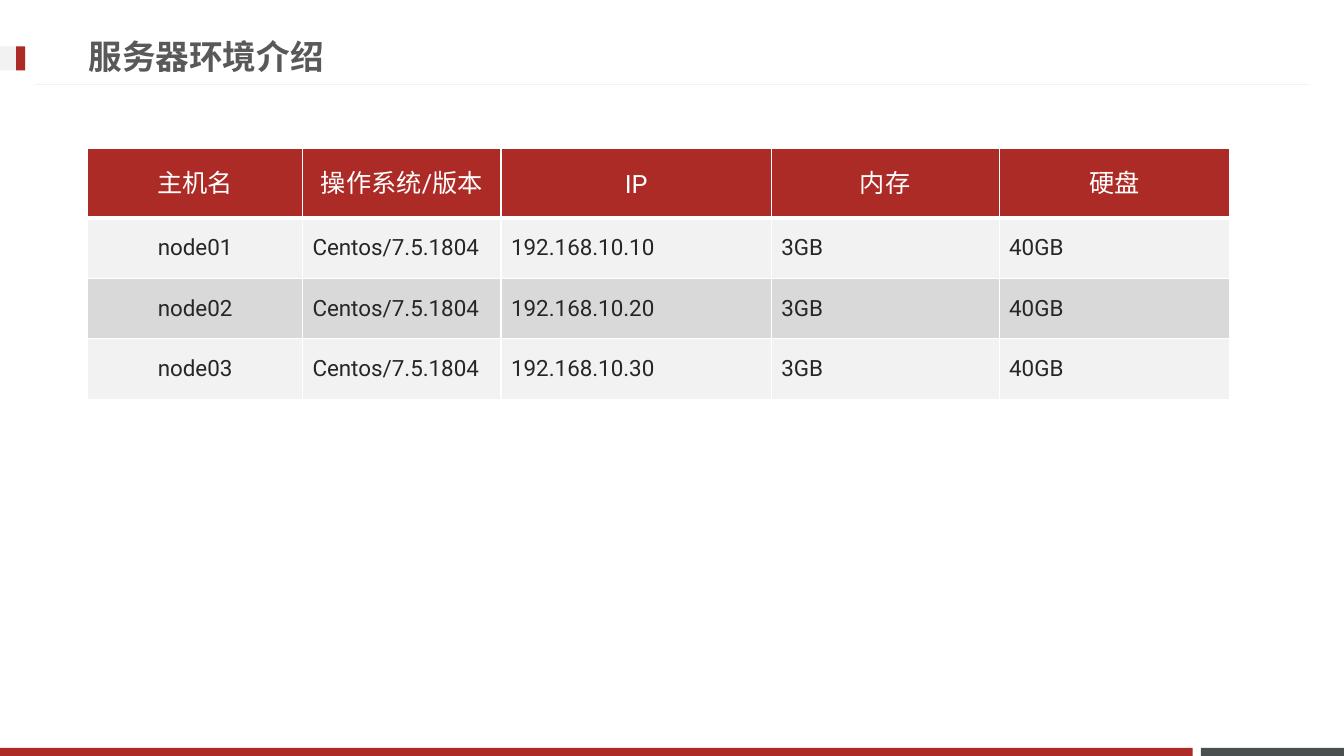
from dataclasses import dataclass

from lxml import etree
from pptx import Presentation
from pptx.dml.color import RGBColor
from pptx.enum.lang import MSO_LANGUAGE_ID as Language
from pptx.enum.shapes import MSO_CONNECTOR as Connector, MSO_SHAPE as Shape
from pptx.enum.text import MSO_ANCHOR as Anchor, PP_ALIGN as Align
from pptx.oxml.ns import qn
from pptx.util import Inches, Pt


@dataclass(frozen=True)
class Theme:
    font: str = "Roboto"
    red: str = "AD2B26"
    slate: str = "49504F"
    white: str = "FFFFFF"
    pale: str = "F2F2F2"
    band: str = "D9D9D9"
    title: str = "595959"
    ink: str = "262626"
    title_size: int = 24
    header_size: int = 18
    body_size: int = 16


class SlideBuilder:
    def __init__(self, page, theme):
        self.page = page
        self.theme = theme

    def bar(self, left, top, width, height, color):
        box = self.page.shapes.add_shape(
            Shape.RECTANGLE, Inches(left), Inches(top), Inches(width), Inches(height))
        box.shadow.inherit = False
        box.fill.solid()
        box.fill.fore_color.rgb = RGBColor.from_string(color)
        box.line.fill.background()

    def rule(self, start, end, color, weight):
        line = self.page.shapes.add_connector(
            Connector.STRAIGHT, *map(Inches, start), *map(Inches, end))
        line.line.color.rgb = RGBColor.from_string(color)
        line.line.width = Pt(weight)
        etree.SubElement(line._element.spPr, qn("a:effectLst"))

    def add_span(self, para, text, size, color, bold=False):
        span = para.add_run()
        span.text = text
        font = span.font
        font.name = self.theme.font
        font.size = Pt(size)
        font.bold = bold
        font.color.rgb = RGBColor.from_string(color)
        font.language_id = Language.SIMPLIFIED_CHINESE

    def title(self, left, top, width, height, text):
        box = self.page.shapes.add_textbox(
            Inches(left), Inches(top), Inches(width), Inches(height))
        frame = box.text_frame
        frame.word_wrap = True
        frame.vertical_anchor = Anchor.MIDDLE
        self.add_span(frame.paragraphs[0], text, self.theme.title_size,
                      self.theme.title, bold=True)

    def borders(self, cell, **weights):
        props = cell._tc.get_or_add_tcPr()
        for index, side in enumerate("LRTB"):
            edge = etree.Element(qn(f"a:ln{side}"), w=str(Pt(weights.get(side, 1))))
            fill = etree.SubElement(edge, qn("a:solidFill"))
            etree.SubElement(fill, qn("a:srgbClr"), val=self.theme.white)
            props.insert(index, edge)

    def table(self, left, top, widths, heights, rows):
        theme = self.theme
        table = self.page.shapes.add_table(
            len(rows), len(widths), Inches(left), Inches(top),
            Inches(sum(widths)), Inches(sum(heights))).table
        for column, width in zip(table.columns, widths):
            column.width = Inches(width)
        for r, (values, height) in enumerate(zip(rows, heights)):
            table.rows[r].height = Inches(height)
            header = r == 0
            fill = theme.red if header else (theme.band, theme.pale)[r % 2]
            for c, value in enumerate(values):
                cell = table.cell(r, c)
                cell.fill.solid()
                cell.fill.fore_color.rgb = RGBColor.from_string(fill)
                cell.vertical_anchor = Anchor.MIDDLE
                # A heavier line parts the header from the body
                self.borders(cell, T=3 if r == 1 else 1, B=3 if header else 1)
                para = cell.text_frame.paragraphs[0]
                para.alignment = Align.CENTER if header or c == 0 else Align.LEFT
                if header:
                    para.line_spacing = Pt(24)
                    self.add_span(para, value, theme.header_size, theme.white)
                else:
                    self.add_span(para, value, theme.body_size, theme.ink)


def main():
    deck = Presentation()
    deck.slide_width, deck.slide_height = Inches(13.33), Inches(7.5)
    theme = Theme()
    slide = SlideBuilder(deck.slides.add_slide(deck.slide_layouts[6]), theme)

    # Footer bars
    slide.bar(11.91, 7.42, 1.42, 0.08, theme.slate)
    slide.bar(0, 7.42, 11.83, 0.08, theme.red)

    # Heading with its marker and rule
    slide.rule((12.98, 0.84), (0.35, 0.84), theme.pale, 0.75)
    slide.bar(0, 0.46, 0.25, 0.24, theme.pale)
    slide.bar(0.16, 0.46, 0.09, 0.24, theme.red)
    slide.title(0.78, 0.27, 9.59, 0.57, "服务器环境介绍")

    # Server table
    header = ["主机名", "操作系统/版本", "IP", "内存", "硬盘"]
    servers = [[f"node0{n}", "Centos/7.5.1804", f"192.168.10.{n}0", "3GB", "40GB"]
               for n in range(1, 4)]
    slide.table(0.87, 1.47, [2.13, 1.97, 2.68, 2.26, 2.29],
                [0.69] + [0.6] * len(servers), [header] + servers)

    deck.save("out.pptx")


if __name__ == "__main__":
    main()
